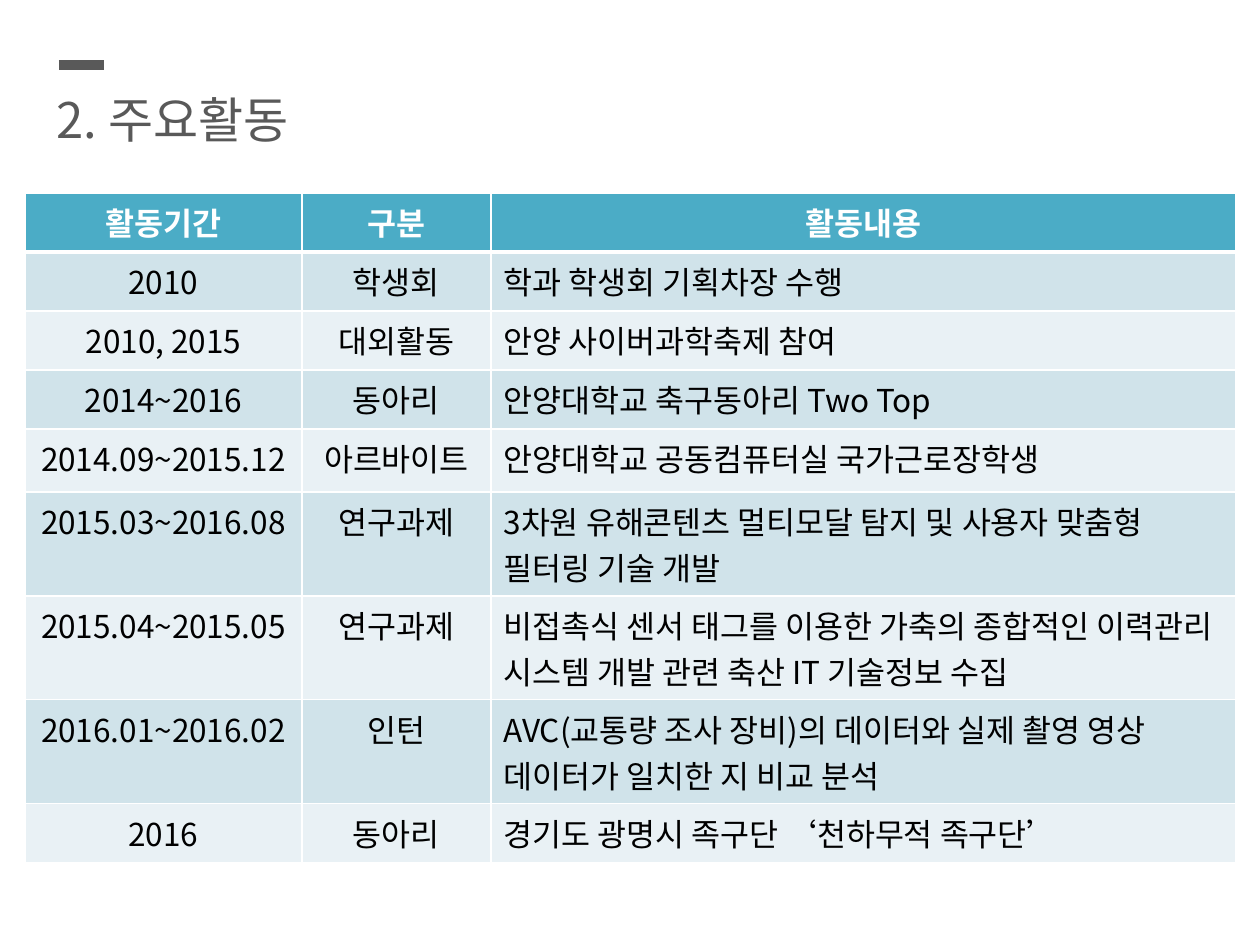
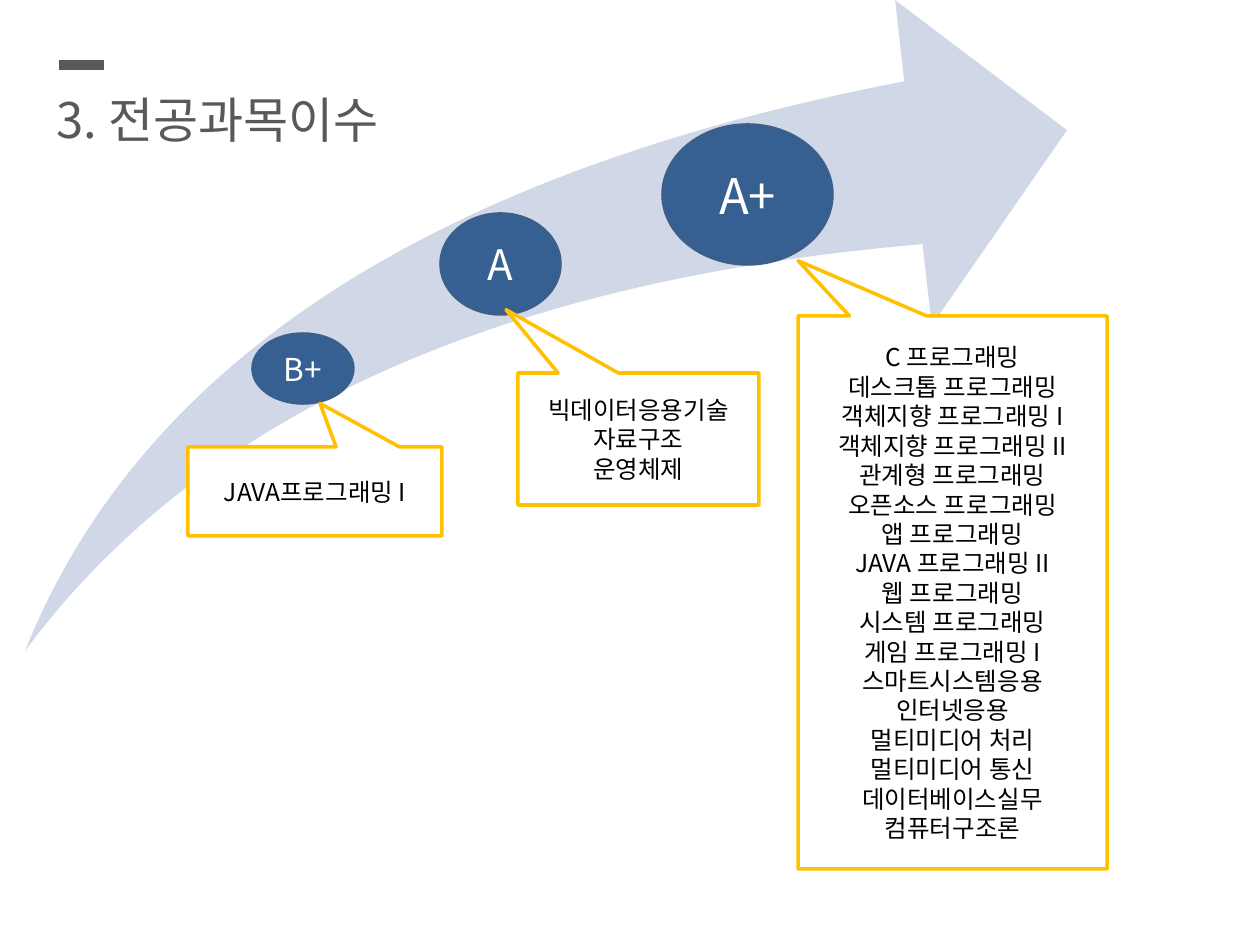
from dataclasses import dataclass
from lxml.etree import SubElement
from pptx import Presentation
from pptx.dml.color import RGBColor
from pptx.enum.shapes import MSO_CONNECTOR, MSO_SHAPE
from pptx.enum.text import MSO_ANCHOR, MSO_AUTO_SIZE, PP_ALIGN
from pptx.oxml.ns import qn
from pptx.util import Emu, Pt


@dataclass(frozen=True)
class Theme:
    font: str = "Noto Sans CJK KR"
    grey: str = "595959"
    white: str = "FFFFFF"
    black: str = "000000"
    header: str = "4BACC6"
    bands: tuple = ("D0E3EA", "E9F1F5")
    swoosh: str = "D0D8E8"
    grade: str = "376092"
    grade_line: str = "3A5F8C"
    callout_line: str = "FFC000"
    title_size: int = 28
    table_size: int = 18
    course_size: int = 14
    course_spacing: float = 16.8


T = Theme()
PX_PER_INCH = 126
TITLE_BOX = (44, 83, 714, 72)
DASH = (59, 65, 104, 65)

ACTIVITY_TITLE = "2. 주요활동"
ACTIVITY_HEAD = ("활동기간", "구분", "활동내용")
ACTIVITIES = [
    ("2010", "학생회", "학과 학생회 기획차장 수행"),
    ("2010, 2015", "대외활동", "안양 사이버과학축제 참여"),
    ("2014~2016", "동아리", "안양대학교 축구동아리 Two Top"),
    ("2014.09~2015.12", "아르바이트", "안양대학교 공동컴퓨터실 국가근로장학생"),
    ("2015.03~2016.08", "연구과제",
     "3차원 유해콘텐츠 멀티모달 탐지 및 사용자 맞춤형 필터링 기술 개발"),
    ("2015.04~2015.05", "연구과제",
     "비접촉식 센서 태그를 이용한 가축의 종합적인 이력관리 시스템 개발 관련 축산 IT 기술정보 수집"),
    ("2016.01~2016.02", "인턴",
     "AVC(교통량 조사 장비)의 데이터와 실제 촬영 영상 데이터가 일치한 지 비교 분석"),
    ("2016", "동아리", "경기도 광명시 족구단 ‘천하무적 족구단’"),
]
TABLE_LEFT, TABLE_TOP = 25, 193
COLUMN_WIDTHS = (277, 189, 745)
ROW_HEIGHTS = (59, 59, 59, 59, 63, 102, 102, 102, 59)

COURSE_TITLE = "3. 전공과목이수"
SWOOSH_BOX = (25, 0, 1042, 651)
GRADES = [  # label, type size, box
    ("A+", 28, (663, 125, 169, 139)),
    ("A", 24, (441, 214, 119, 100)),
    ("B+", 18, (253, 334, 100, 69)),
]
COURSES = [  # box, pointer tip, courses
    ((798, 316, 309, 553), (-0.5, -0.6),
     ["C 프로그래밍", "데스크톱 프로그래밍", "객체지향 프로그래밍 I",
      "객체지향 프로그래밍 II", "관계형 프로그래밍", "오픈소스 프로그래밍",
      "앱 프로그래밍", "JAVA 프로그래밍 II", "웹 프로그래밍",
      "시스템 프로그래밍", "게임 프로그래밍 I", "스마트시스템응용",
      "인터넷응용", "멀티미디어 처리", "멀티미디어 통신",
      "데이터베이스실무", "컴퓨터구조론"]),
    ((518, 373, 241, 132), (-0.55, -0.98),
     ["빅데이터응용기술", "자료구조", "운영체제"]),
    ((188, 447, 254, 89), (0.02, -0.99), ["JAVA프로그래밍 I"]),
]


def px(n):
    return Emu(round(n * 914400 / PX_PER_INCH))


def emu(box):
    return [px(n) for n in box]


def rgb(colour):
    return RGBColor.from_string(colour)


def add_run(p, text, size, colour, bold=False):
    r = p.add_run()
    r.text = text
    r.font.size = Pt(size)
    r.font.bold = bold
    r.font.color.rgb = rgb(colour)
    r.font.name = T.font
    SubElement(r.font._element, qn("a:ea"), typeface=T.font)


def add_lines(tf, lines, size, colour, spacing=None):
    tf.word_wrap = True
    tf.vertical_anchor = MSO_ANCHOR.MIDDLE
    for i, line in enumerate(lines):
        p = tf.add_paragraph() if i else tf.paragraphs[0]
        p.alignment = PP_ALIGN.CENTER
        if spacing:
            p.line_spacing = Pt(spacing)
        add_run(p, line, size, colour)


def add_titled_slide(prs, title):
    s = prs.slides.add_slide(prs.slide_layouts[5])
    sp = s.shapes.title
    sp.left, sp.top, sp.width, sp.height = emu(TITLE_BOX)
    tf = sp.text_frame
    tf.auto_size = MSO_AUTO_SIZE.NONE
    tf.vertical_anchor = MSO_ANCHOR.TOP
    p = tf.paragraphs[0]
    p.alignment = PP_ALIGN.LEFT
    add_run(p, title, T.title_size, T.grey)

    dash = s.shapes.add_connector(MSO_CONNECTOR.STRAIGHT, *emu(DASH))
    dash.line.color.rgb = rgb(T.grey)
    dash.line.width = Pt(6)
    SubElement(dash._element.spPr, qn("a:effectLst"))
    return s


def add_shape(shapes, kind, box, fill, line=None):
    sp = shapes.add_shape(kind, *emu(box))
    sp.shadow.inherit = False
    sp.fill.solid()
    sp.fill.fore_color.rgb = rgb(fill)
    if line:
        sp.line.color.rgb = rgb(line)
        sp.line.width = Pt(2)
    else:
        sp.line.fill.background()
    return sp


def set_borders(cell, top, bottom):
    """White cell borders; top and bottom widths in points."""
    tcPr = cell._tc.get_or_add_tcPr()
    for side, width in (("L", 1), ("R", 1), ("T", top), ("B", bottom)):
        ln = SubElement(tcPr, qn(f"a:ln{side}"), w=str(Pt(width)))
        fill = SubElement(ln, qn("a:solidFill"))
        SubElement(fill, qn("a:srgbClr"), val=T.white)


def build_activities(prs):
    s = add_titled_slide(prs, ACTIVITY_TITLE)
    rows = [ACTIVITY_HEAD, *ACTIVITIES]
    box = (TABLE_LEFT, TABLE_TOP, sum(COLUMN_WIDTHS), sum(ROW_HEIGHTS))
    table = s.shapes.add_table(len(rows), len(ACTIVITY_HEAD), *emu(box)).table
    for column, width in zip(table.columns, COLUMN_WIDTHS):
        column.width = px(width)
    for i, (texts, height) in enumerate(zip(rows, ROW_HEIGHTS)):
        table.rows[i].height = px(height)
        head = i == 0
        for j, text in enumerate(texts):
            cell = table.cell(i, j)
            set_borders(cell, 3 if i == 1 else 1, 3 if head else 1)
            cell.fill.solid()
            cell.fill.fore_color.rgb = rgb(T.header if head else T.bands[(i - 1) % 2])
            p = cell.text_frame.paragraphs[0]
            p.alignment = PP_ALIGN.CENTER if head or j < 2 else PP_ALIGN.LEFT
            add_run(p, text, T.table_size, T.white if head else T.black, head)


def build_courses(prs):
    s = add_titled_slide(prs, COURSE_TITLE)
    growth = s.shapes.add_group_shape().shapes
    swoosh = add_shape(growth, MSO_SHAPE.SWOOSH_ARROW, SWOOSH_BOX, T.swoosh)
    swoosh.adjustments[0] = swoosh.adjustments[1] = 0.25
    for label, size, box in GRADES:
        sp = add_shape(growth, MSO_SHAPE.OVAL, box, T.grade, T.grade_line)
        add_lines(sp.text_frame, [label], size, T.white)
    for box, tip, names in COURSES:
        sp = add_shape(s.shapes, MSO_SHAPE.RECTANGULAR_CALLOUT, box,
                       T.white, T.callout_line)
        sp.adjustments[0], sp.adjustments[1] = tip
        add_lines(sp.text_frame, names, T.course_size, T.black, T.course_spacing)


def main():
    prs = Presentation()
    prs.slide_width, prs.slide_height = emu((1260, 945))
    build_activities(prs)
    build_courses(prs)
    prs.save("out.pptx")


if __name__ == "__main__":
    main()
